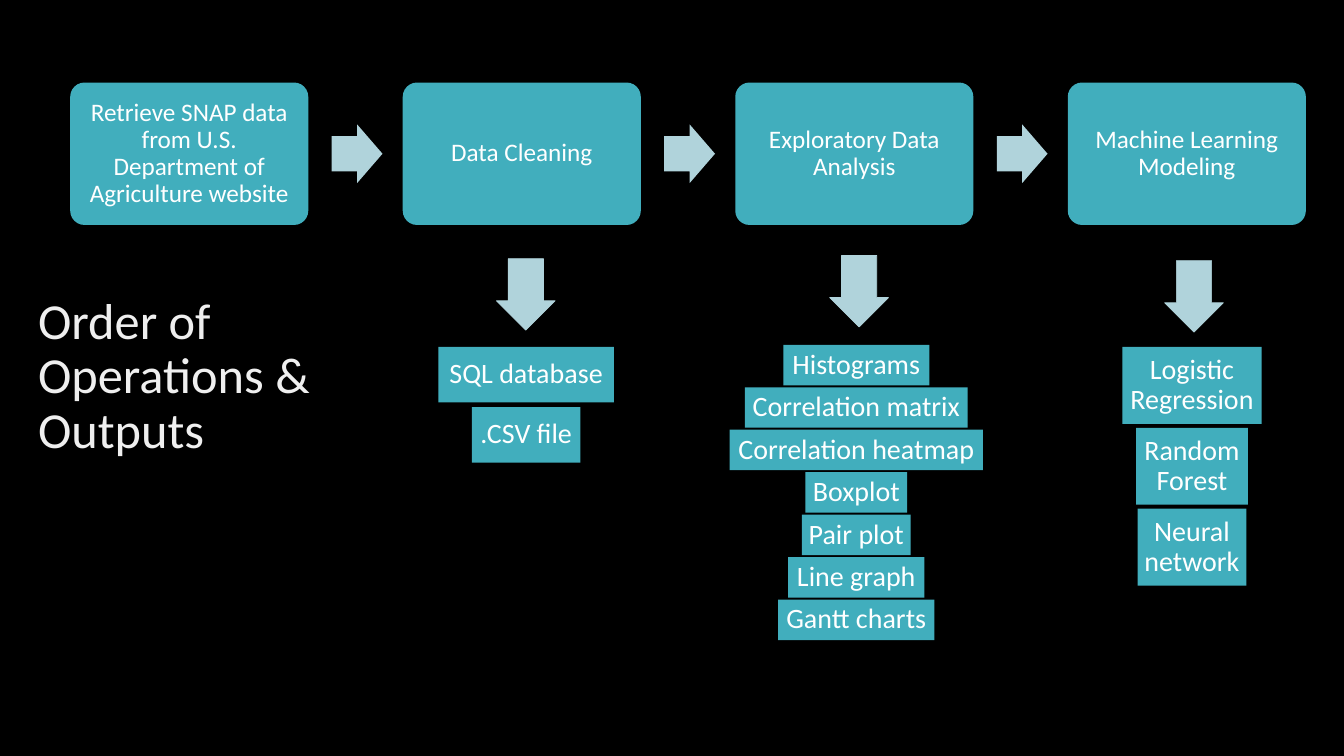
from pptx import Presentation
from pptx.dml.color import RGBColor
from pptx.enum.shapes import MSO_SHAPE
from pptx.enum.text import MSO_ANCHOR, PP_ALIGN
from pptx.util import Cm, Pt

ROUNDED, RECTANGLE, ARROW = MSO_SHAPE.ROUNDED_RECTANGLE, MSO_SHAPE.RECTANGLE, MSO_SHAPE.RIGHT_ARROW
MIDDLE, CENTER, LEFT = MSO_ANCHOR.MIDDLE, PP_ALIGN.CENTER, PP_ALIGN.LEFT

# Content (lengths in cm)
TITLE = "Order of Operations & Outputs"
STEPS = [
    "Retrieve SNAP data from U.S. Department of Agriculture website",
    "Data Cleaning",
    "Exploratory Data Analysis",
    "Machine Learning Modeling",
]
OUTPUTS = [
    {"center": 13.26, "top": 8.74, "height": 1.4, "pitch": 1.52, "arrow": (13.25, 7.42),
     "items": [("SQL database", 4.42), (".CSV file", 2.74)]},
    {"center": 21.58, "top": 8.69, "height": 1.02, "pitch": 1.07, "arrow": (21.65, 7.34),
     "items": [("Histograms", 3.68), ("Correlation matrix", 5.61),
               ("Correlation heatmap", 6.38), ("Boxplot", 2.57), ("Pair plot", 2.74),
               ("Line graph", 3.43), ("Gantt charts", 3.94)]},
    {"center": 30.04, "top": 8.74, "height": 1.94, "pitch": 2.04, "arrow": (30.09, 7.47),
     "items": [("Logistic Regression", 3.51), ("Random Forest", 2.82),
               ("Neural network", 2.74)]},
]

# Style and layout
BLACK, WHITE, TITLE_GRAY = "000000", "FFFFFF", "EFEFEF"
TEAL, PALE = "41AEBD", "B0D3DB"
STEP_LEFT, STEP_TOP, STEP_PITCH = 1.77, 2.08, 8.38
STEP_WIDTH, STEP_HEIGHT = 6, 3.59
ARROW_GAP, ARROW_WIDTH, ARROW_HEIGHT = 0.59, 1.28, 1.48
DOWN_LENGTH = 1.8


def paint(fill, color):
    fill.solid()
    fill.fore_color.rgb = RGBColor.from_string(color)


def write(box, text, size, color, align, inset):
    frame = box.text_frame
    frame.word_wrap = True
    frame.vertical_anchor = MIDDLE
    frame.margin_left = frame.margin_right = Cm(inset)
    frame.margin_top = frame.margin_bottom = Cm(inset)
    para = frame.paragraphs[0]
    para.text = text
    para.alignment = align
    para.line_spacing = 0.9
    para.font.name = "Calibri"
    para.font.size = Pt(size)
    paint(para.font.fill, color)


def add_block(page, kind, left, top, width, height, color):
    shape = page.shapes.add_shape(kind, Cm(left), Cm(top), Cm(width), Cm(height))
    shape.shadow.inherit = False
    paint(shape.fill, color)
    shape.line.fill.background()
    return shape


def add_arrow(page, center_x, center_y, length):
    arrow = add_block(page, ARROW, center_x - length / 2, center_y - ARROW_HEIGHT / 2,
                      length, ARROW_HEIGHT, PALE)
    arrow.adjustments[0] = 0.6
    arrow.adjustments[1] = 0.5
    return arrow


def add_steps(page):
    for index, text in enumerate(STEPS):
        left = STEP_LEFT + index * STEP_PITCH
        step = add_block(page, ROUNDED, left, STEP_TOP, STEP_WIDTH, STEP_HEIGHT, TEAL)
        step.adjustments[0] = 0.1
        write(step, text, 18, WHITE, CENTER, 0.18)
        if index < len(STEPS) - 1:
            add_arrow(page, left + STEP_WIDTH + ARROW_GAP + ARROW_WIDTH / 2,
                      STEP_TOP + STEP_HEIGHT / 2, ARROW_WIDTH)


def add_outputs(page):
    for stack in OUTPUTS:
        arrow = add_arrow(page, *stack["arrow"], DOWN_LENGTH)
        arrow.rotation = 90
        paint(arrow.line.fill, PALE)
        arrow.line.width = Pt(0.5)
        for row, (text, width) in enumerate(stack["items"]):
            item = add_block(page, RECTANGLE, stack["center"] - width / 2,
                             stack["top"] + row * stack["pitch"],
                             width, stack["height"], TEAL)
            write(item, text, 20, WHITE, CENTER, 0.14)


def main():
    deck = Presentation()
    deck.slide_width, deck.slide_height = Cm(33.87), Cm(19.05)
    page = deck.slides.add_slide(deck.slide_layouts[6])
    paint(page.background.fill, BLACK)

    add_steps(page)
    title = page.shapes.add_textbox(Cm(0.71), Cm(3.12), Cm(9.98), Cm(12.78))
    write(title, TITLE, 36, TITLE_GRAY, LEFT, 0.25)
    add_outputs(page)

    deck.save("out.pptx")


if __name__ == "__main__":
    main()
